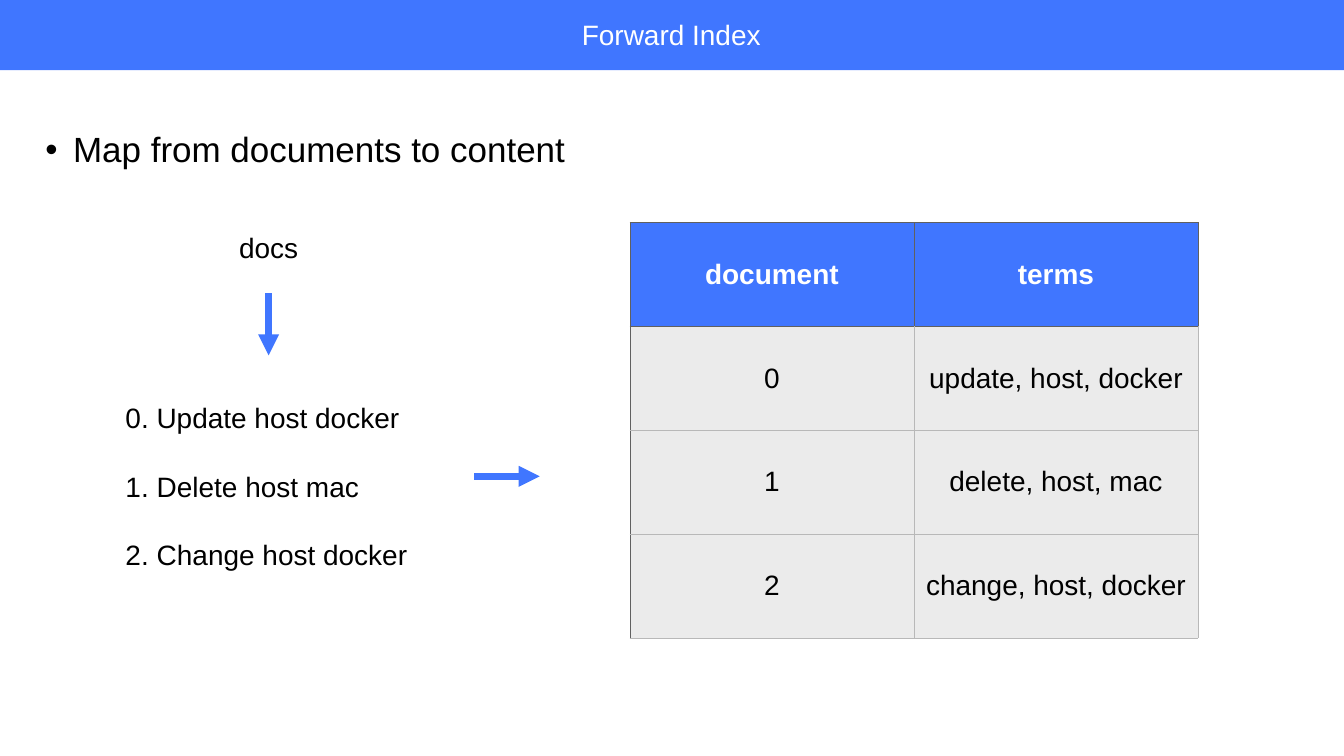
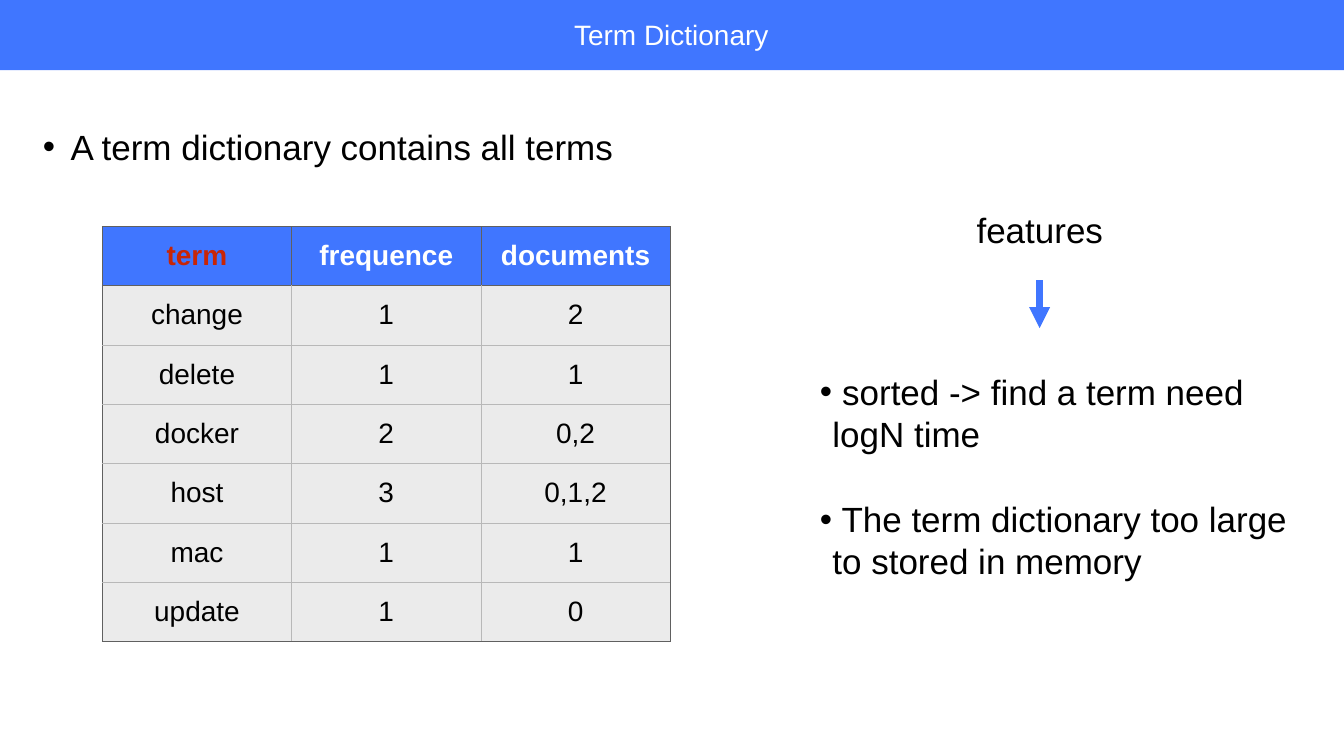
"""Build two slides on the forward index and the term dictionary."""
from dataclasses import dataclass

from lxml.etree import SubElement as Sub
from pptx import Presentation
from pptx.dml.color import RGBColor as RGB
from pptx.enum.shapes import MSO_CONNECTOR as LINK, MSO_SHAPE as SHAPE
from pptx.enum.text import MSO_ANCHOR as ANCHOR, PP_ALIGN as ALIGN
from pptx.oxml.ns import qn
from pptx.util import Inches, Pt


@dataclass(frozen=True)
class Theme:
    font: str = "Arial"
    blue: str = "4076FF"
    red: str = "C82506"
    white: str = "FFFFFF"
    black: str = "000000"
    pale: str = "EBEBEB"
    dark: str = "606060"
    light: str = "B8B8B8"
    small: int = 40
    large: int = 50
    pad: float = 0.06


theme = Theme()


def write(frame, lines, size=theme.small, color=theme.black, align=ALIGN.CENTER,
          bold=False, gap=0, hang=0, marks=()):
    for num, line in enumerate(lines):
        para = frame.paragraphs[0] if num == 0 else frame.add_paragraph()
        para.text = line
        para.alignment = align
        if num:
            para.space_before = Pt(gap)
        props = para._p.get_or_add_pPr()
        mark = marks[num] if marks else ""
        if hang:
            props.set("marL", str(Inches(hang)))
            props.set("indent", str(-Inches(hang)))
        if mark == "•":
            Sub(props, qn("a:buFont"), typeface=theme.font)
            Sub(props, qn("a:buChar"), char=mark)
        elif mark:
            Sub(props, qn("a:buAutoNum"), type=mark)
        font = para.font
        font.name, font.size, font.bold = theme.font, Pt(size), bold
        font.color.rgb = RGB.from_string(color)


def label(slide, lines, box, pad=theme.pad, anchor=ANCHOR.MIDDLE, **style):
    frame = slide.shapes.add_textbox(*map(Inches, box)).text_frame
    frame.margin_left = frame.margin_right = Inches(pad)
    frame.margin_top = frame.margin_bottom = Inches(pad)
    frame.vertical_anchor = anchor
    frame.word_wrap = style.get("align") == ALIGN.LEFT
    write(frame, lines, **style)


deck = Presentation()
deck.slide_width, deck.slide_height = Inches(26.67), Inches(15)

pages = [
    dict(
        title="Forward Index", width=3.7,
        lead="Map from documents to content", span=10.57, inset=0.05,
        head="docs", spot=(4.65, 4.51, 1.36, 0.78), size=theme.small, pad=0.06,
        notes=["0. Update host docker", "Delete host mac", "Change host docker"],
        area=(2.43, 7.92, 5.81, 3.44), gap=50, hang=0.62,
        marks=["", "arabicPeriod", "arabicPeriod"],
        arrows=[(5.33, 5.82, 5.33, 7.05), (9.41, 9.45, 10.71, 9.45)],
        grid=(12.5, 4.42, 11.27, 8.24), boxed=False, key="",
        rows=[
            ("document", "terms"),
            ("0", "update, host, docker"),
            ("1", "delete, host, mac"),
            ("2", "change, host, docker"),
        ],
    ),
    dict(
        title="Term Dictionary", width=4,
        lead="A term dictionary contains all terms", span=12.11, inset=0,
        head="features", spot=(19.33, 4.09, 2.61, 0.93), size=theme.large, pad=0,
        notes=[" sorted -> find a term need logN time",
               " The term dictionary too large to stored in memory"],
        area=(16.21, 7.31, 9.4, 4.28), gap=62, hang=0.25, marks=["•", "•"],
        arrows=[(20.63, 5.56, 20.63, 6.51)],
        grid=(2.03, 4.49, 11.27, 8.24), boxed=True, key="term",
        rows=[
            ("term", "frequence", "documents"),
            ("change", "1", "2"),
            ("delete", "1", "1"),
            ("docker", "2", "0,2"),
            ("host", "3", "0,1,2"),
            ("mac", "1", "1"),
            ("update", "1", "0"),
        ],
    ),
]

for page in pages:
    slide = deck.slides.add_slide(deck.slide_layouts[6])
    band = slide.shapes.add_shape(
        SHAPE.RECTANGLE, *map(Inches, (-0.06, -0.04, 26.76, 1.43)))
    band.shadow.inherit = False
    band.fill.solid()
    band.fill.fore_color.rgb = RGB.from_string(theme.blue)
    band.line.fill.background()

    wide = page["width"]
    label(slide, [page["title"]], (13.32 - wide / 2, 0.29, wide, 0.78),
          color=theme.white)
    label(slide, [page["lead"]], (0.85, 2.49, page["span"], 0.93),
          pad=page["inset"], anchor=ANCHOR.TOP, size=theme.large,
          align=ALIGN.LEFT, hang=0.55, marks=["•"])
    label(slide, [page["head"]], page["spot"], pad=page["pad"], size=page["size"])
    label(slide, page["notes"], page["area"], size=page["size"], align=ALIGN.LEFT,
          gap=page["gap"], hang=page["hang"], marks=page["marks"])

    for ends in page["arrows"]:
        arrow = slide.shapes.add_connector(LINK.STRAIGHT, *map(Inches, ends))
        arrow.line.width = Pt(10)
        arrow.line.color.rgb = RGB.from_string(theme.blue)
        Sub(arrow.line._get_or_add_ln(), qn("a:tailEnd"), type="triangle")
        Sub(arrow._element.spPr, qn("a:effectLst"))

    rows, boxed = page["rows"], page["boxed"]
    high, wide = len(rows), len(rows[0])
    left, top, width, height = page["grid"]
    table = slide.shapes.add_table(
        high, wide, *map(Inches, page["grid"])).table
    for col in table.columns:
        col.width = Inches(width / wide)
    for row in table.rows:
        row.height = Inches(height / high)

    for y, row in enumerate(rows):
        for x, word in enumerate(row):
            cell = table.cell(y, x)
            cell.vertical_anchor = ANCHOR.MIDDLE
            cell.margin_left = cell.margin_right = Inches(theme.pad)
            cell.margin_top = cell.margin_bottom = Inches(theme.pad)
            first = y == 0
            edges = {
                "L": first or x == 0,
                "R": first or boxed and x == wide - 1,
                "T": y < 2,
                "B": first or boxed and y == high - 1,
            }
            props = cell._tc.get_or_add_tcPr()
            for side, strong in edges.items():
                edge = Sub(props, qn("a:ln" + side), w=str(Pt(1)))
                fill = Sub(edge, qn("a:solidFill"))
                Sub(fill, qn("a:srgbClr"), val=theme.dark if strong else theme.light)
            cell.fill.solid()
            cell.fill.fore_color.rgb = RGB.from_string(
                theme.blue if first else theme.pale)
            color = theme.white if first else theme.black
            if word == page["key"]:
                color = theme.red
            write(cell.text_frame, [word], color=color, bold=first)

deck.save("out.pptx")
